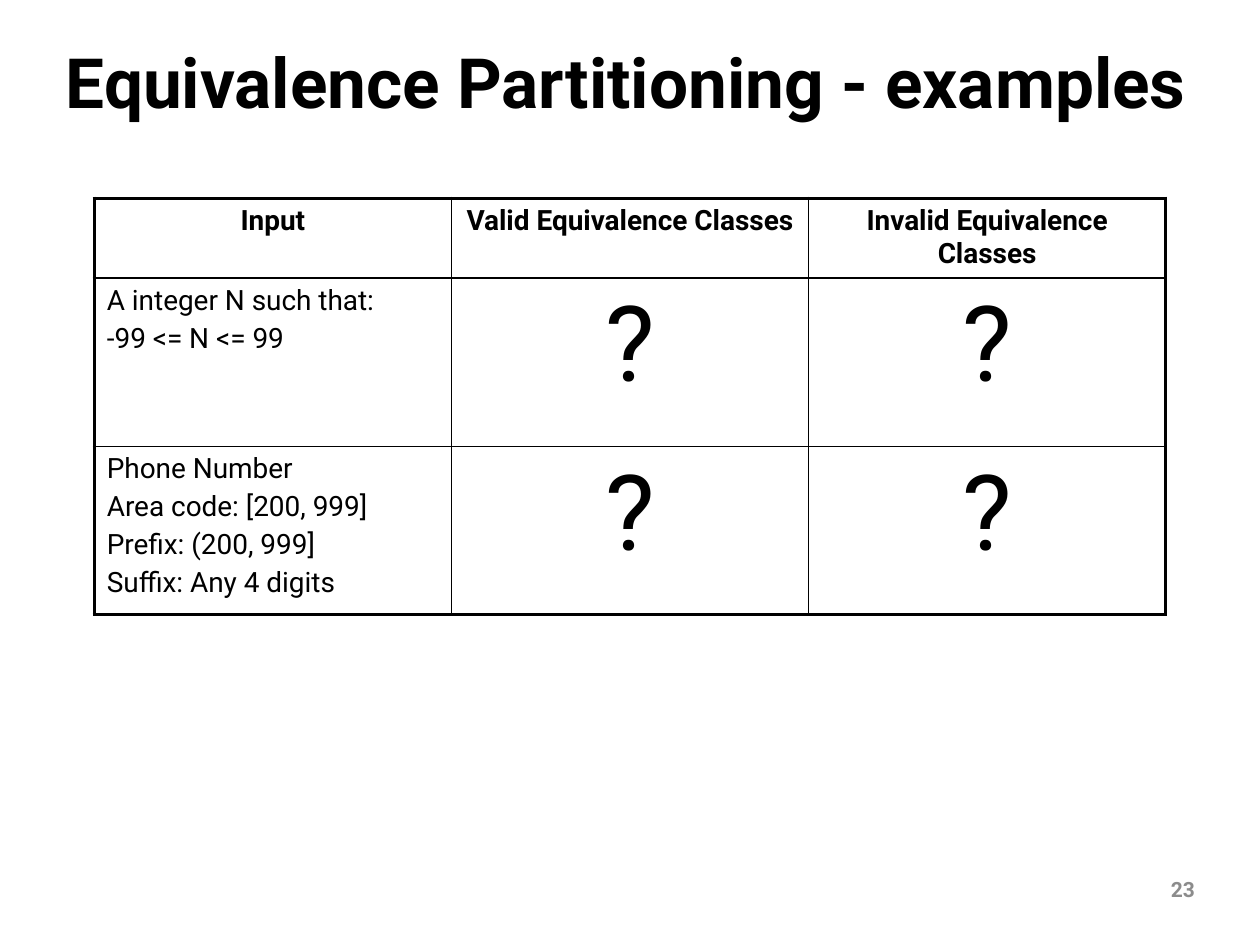
from lxml import etree
from pptx import Presentation
from pptx.dml.color import RGBColor
from pptx.enum.text import MSO_ANCHOR, MSO_AUTO_SIZE, PP_ALIGN
from pptx.oxml.ns import qn
from pptx.util import Cm, Pt

# Content
TITLE = "Equivalence Partitioning - examples"
PAGE_NUMBER = "23"
HEADER = ["Input", "Valid Equivalence Classes", "Invalid Equivalence Classes"]
INPUTS = [
    ["A integer N such that:", "-99 <= N <= 99"],
    ["Phone Number", "Area code: [200, 999]", "Prefix: (200, 999]", "Suffix: Any 4 digits"],
]
UNKNOWN = "?"

# Style
FONT = "Roboto"
BLACK = RGBColor(0x00, 0x00, 0x00)
GRAY = RGBColor(0x8C, 0x8C, 0x8C)
LEFT, CENTER, RIGHT = PP_ALIGN.LEFT, PP_ALIGN.CENTER, PP_ALIGN.RIGHT
MIDDLE = MSO_ANCHOR.MIDDLE
NO_AUTOFIT = MSO_AUTO_SIZE.NONE
INNER_LINE, OUTER_LINE = Pt(1), Pt(2.25)
COLUMN_WIDTH = Cm(7.2)
ROW_HEIGHTS = [Cm(1.57), Cm(3.39), Cm(3.39)]


def write_text(frame, lines, size, bold=False, color=BLACK, align=LEFT, line_spacing=None):
    for index, line in enumerate(lines):
        paragraph = frame.paragraphs[0] if index == 0 else frame.add_paragraph()
        paragraph.alignment = align
        paragraph.space_before = Pt(0.2 * size if index else 0)
        if line_spacing:
            paragraph.line_spacing = line_spacing
        run = paragraph.add_run()
        run.text = line
        run.font.name = FONT
        run.font.size = Pt(size)
        run.font.bold = bold
        run.font.color.rgb = color


def set_borders(cell, widths):
    properties = cell._tc.get_or_add_tcPr()
    for side, width in widths.items():
        line = etree.SubElement(properties, qn(f"a:ln{side}"), w=str(width))
        fill = etree.SubElement(line, qn("a:solidFill"))
        etree.SubElement(fill, qn("a:srgbClr"), val=str(BLACK))


presentation = Presentation()
presentation.slide_width, presentation.slide_height = Cm(25.4), Cm(19.05)
slide = presentation.slides.add_slide(presentation.slide_layouts[5])

# Title
title = slide.shapes.title
title.left, title.top, title.width, title.height = Cm(1.07), Cm(0.74), Cm(23.24), Cm(1.98)
title.text_frame.auto_size = NO_AUTOFIT
title.text_frame.vertical_anchor = MIDDLE
write_text(title.text_frame, [TITLE], 39.6, bold=True, line_spacing=0.9)

# Page number
number_box = slide.shapes.add_textbox(Cm(21.62), Cm(17.42), Cm(2.72), Cm(1.02))
number_box.text_frame.word_wrap = True
number_box.text_frame.vertical_anchor = MIDDLE
write_text(number_box.text_frame, [PAGE_NUMBER], 12, bold=True, color=GRAY, align=RIGHT)

# Table of input classes
row_count, column_count = len(ROW_HEIGHTS), len(HEADER)
table = slide.shapes.add_table(
    row_count, column_count, Cm(1.9), Cm(4),
    COLUMN_WIDTH * column_count, sum(ROW_HEIGHTS),
).table
table.first_row = table.horz_banding = False
for column in table.columns:
    column.width = COLUMN_WIDTH

for row, height in enumerate(ROW_HEIGHTS):
    table.rows[row].height = height
    for column in range(column_count):
        cell = table.cell(row, column)
        if row == 0:
            write_text(cell.text_frame, [HEADER[column]], 16, bold=True, align=CENTER)
        elif column == 0:
            write_text(cell.text_frame, INPUTS[row - 1], 16)
        else:
            write_text(cell.text_frame, [UNKNOWN], 60, align=CENTER)
        on_edge = {
            "L": column == 0,
            "R": column == column_count - 1,
            "T": row == 0,
            "B": row == row_count - 1,
        }
        set_borders(cell, {side: OUTER_LINE if edge else INNER_LINE
                           for side, edge in on_edge.items()})
        cell.fill.background()

presentation.save("out.pptx")
